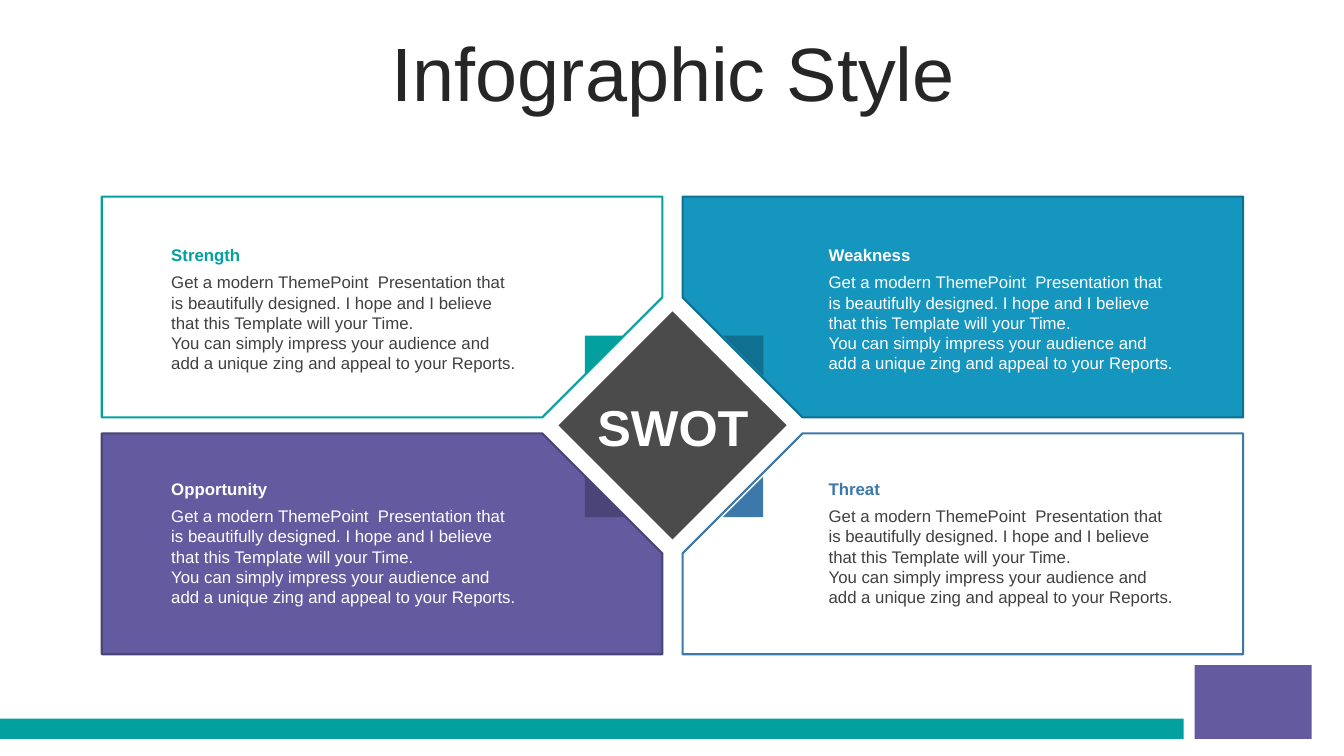
"""Build a SWOT slide: four notched cards round a central diamond."""
import pptx
import pptx.dml.color
import pptx.enum.shapes
import pptx.enum.text
import pptx.util

RGB = pptx.dml.color.RGBColor
SHAPE = pptx.enum.shapes.MSO_SHAPE
ALIGN = pptx.enum.text.PP_ALIGN
ANCHOR = pptx.enum.text.MSO_ANCHOR
INCH = pptx.util.Inches

TEAL, BLUE = RGB(0x03, 0xA0, 0xA0), RGB(0x14, 0x96, 0xBE)
PURPLE, STEEL = RGB(0x64, 0x5A, 0xA0), RGB(0x3C, 0x78, 0xAA)
NAVY, PLUM = RGB(0x0F, 0x71, 0x8F), RGB(0x4B, 0x44, 0x78)
WHITE, INK = RGB(0xFF, 0xFF, 0xFF), RGB(0x26, 0x26, 0x26)
GREY, DARK = RGB(0x40, 0x40, 0x40), RGB(0x4B, 0x4B, 0x4B)

TITLE = "Infographic Style"
CORE = "SWOT"
BODY = [
    "Get a modern ThemePoint  Presentation that is beautifully designed. "
    "I hope and I believe that this Template will your Time.",
    "You can simply impress your audience and add a unique zing and appeal to your Reports.",
]
# name, column, row, fill, edge, heading colour, body colour, corner turn
CARDS = [
    ("Strength", 0, 0, None, TEAL, TEAL, GREY, 90),
    ("Weakness", 1, 0, BLUE, NAVY, WHITE, WHITE, 180),
    ("Opportunity", 0, 1, PURPLE, PLUM, WHITE, WHITE, 0),
    ("Threat", 1, 1, None, STEEL, STEEL, GREY, 270),
]

WIDE, HIGH = 13.33, 7.5
MID_X, MID_Y = 6.67, 4.22
GAP_X, GAP_Y = 0.1, 0.08
FAR_X, FAR_Y = 5.66, 2.27
NOTCH = 1.19
SIDE = 1.6
FOLD = 0.4
TEXT_X, TEXT_Y = 1.6, 2.38
STEP_X, STEP_Y = 6.52, 2.32
TEXT_W, HEAD_H, BODY_H = 3.62, 0.3, 1.11

deck = pptx.Presentation()
deck.slide_width, deck.slide_height = INCH(WIDE), INCH(HIGH)
slide = deck.slides.add_slide(deck.slide_layouts[5])
shapes = slide.shapes


def paint(shape, fill, edge=None):
    """Set fill and outline, and drop the shadow."""
    shape.shadow.inherit = False
    if fill is None:
        shape.fill.background()
    else:
        shape.fill.solid()
        shape.fill.fore_color.rgb = fill
    if edge is None:
        shape.line.fill.background()
    else:
        shape.line.color.rgb = edge
        shape.line.width = pptx.util.Pt(1.5)


def block(kind, x, y, w, h, fill, turn=0):
    """Add a preset shape."""
    shape = shapes.add_shape(kind, INCH(x), INCH(y), INCH(w), INCH(h))
    shape.rotation = turn
    paint(shape, fill)


def write(lines, x, y, w, h, *, size=12, color=GREY, bold=False, align=ALIGN.LEFT,
          anchor=ANCHOR.MIDDLE, space=1.0, box=None):
    """Put lines of text into a given box or a new one."""
    box = box or shapes.add_textbox(0, 0, 0, 0)
    box.left, box.top, box.width, box.height = map(INCH, (x, y, w, h))
    frame = box.text_frame
    frame.word_wrap = True
    frame.auto_size = pptx.enum.text.MSO_AUTO_SIZE.NONE
    frame.vertical_anchor = anchor
    frame.text = "\n".join(lines)
    for para in frame.paragraphs:
        para.alignment, para.line_spacing = align, space
        font = para.font
        font.name, font.size, font.bold = "Arial", pptx.util.Pt(size), bold
        font.color.rgb = color


def card(col, row, fill, edge):
    """Draw one card with its inner corner cut off."""
    way_x, way_y = 2 * col - 1, 2 * row - 1
    spots = [(FAR_X, FAR_Y), (GAP_X, FAR_Y), (GAP_X, GAP_Y + NOTCH),
             (GAP_X + NOTCH, GAP_Y), (FAR_X, GAP_Y)]
    spots = [(INCH(MID_X + way_x * x), INCH(MID_Y + way_y * y)) for x, y in spots]
    path = shapes.build_freeform(*spots[0])
    path.add_line_segments(spots[1:], close=True)
    paint(path.convert_to_shape(), fill, edge)


write([TITLE], 0.35, 0.37, 12.66, 0.79, size=54, color=INK, align=ALIGN.CENTER,
      space=0.9, box=shapes.title)
block(SHAPE.RECTANGLE, 0, 7.13, 11.74, 0.2, TEAL)
block(SHAPE.RECTANGLE, 11.85, 6.6, 1.16, 0.73, PURPLE)

for name, col, row, fill, edge, head, ink, turn in CARDS:
    card(col, row, fill, edge)
block(SHAPE.RECTANGLE, MID_X - SIDE / 2, MID_Y - SIDE / 2, SIDE, SIDE, DARK, 45)

for name, col, row, fill, edge, head, ink, turn in CARDS:
    block(SHAPE.RIGHT_TRIANGLE, 5.8 + 1.37 * col, 3.33 + 1.4 * row, FOLD, FOLD, edge, turn)
    x, y = TEXT_X + STEP_X * col, TEXT_Y + STEP_Y * row
    write(BODY, x, y + 0.27, TEXT_W, BODY_H, color=ink, anchor=ANCHOR.TOP)
    write([name], x, y, TEXT_W, HEAD_H, color=head, bold=True)

write([CORE], 5.8, 3.87, 1.75, 0.71, size=36, color=WHITE, bold=True, align=ALIGN.CENTER)

deck.save("out.pptx")
